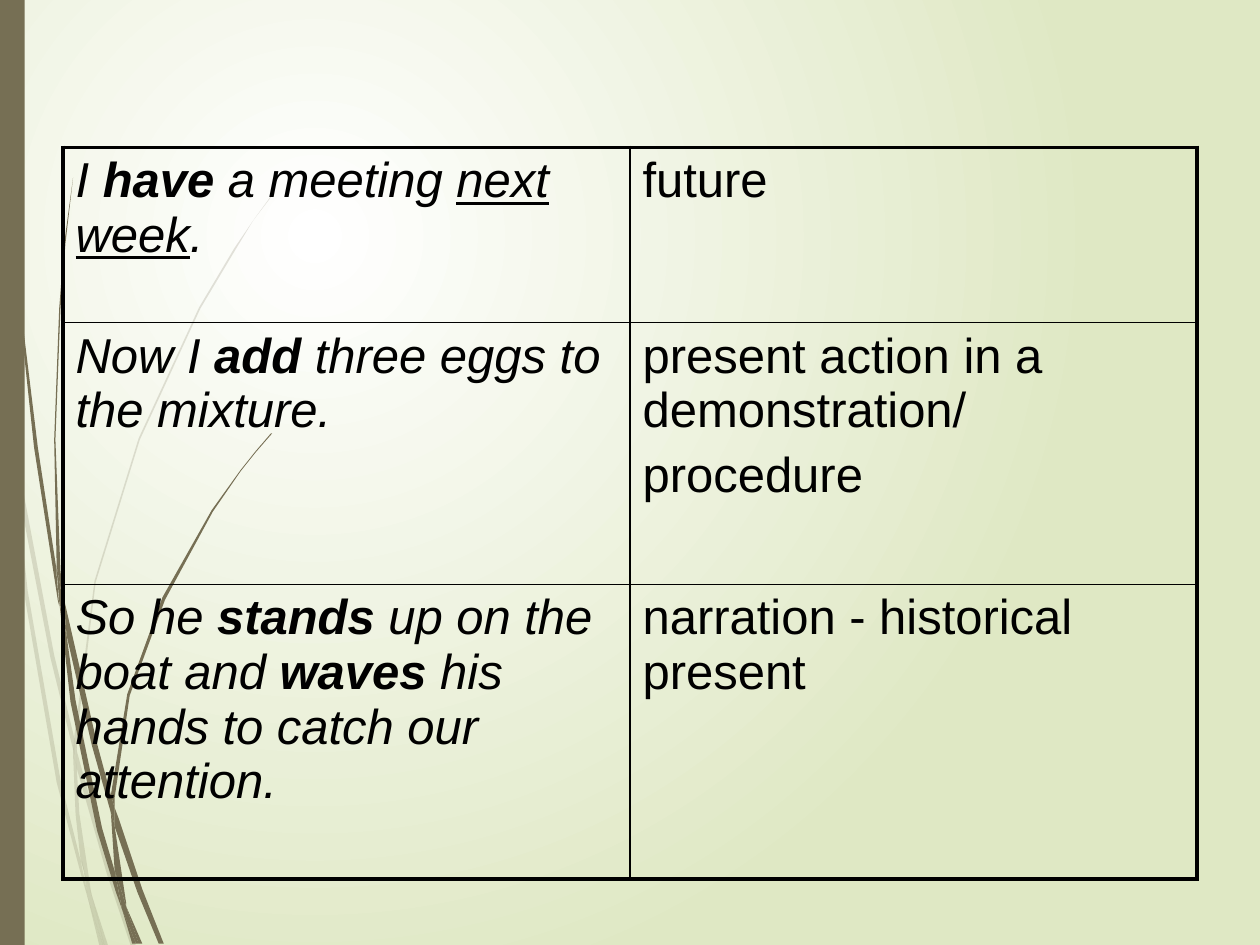
from dataclasses import dataclass

from lxml.etree import SubElement
from pptx import Presentation
from pptx.dml.color import RGBColor as RGB
from pptx.enum.shapes import MSO_SHAPE as SHAPE
from pptx.oxml.ns import qn
from pptx.util import Cm, Pt


@dataclass(frozen=True)
class Theme:
    font: str = "Arial"
    size: float = 28
    para_gap: float = 5.6
    text: str = "000000"
    accent: str = "766F54"
    center: str = "FFFFFF"
    edge: str = "DFE8C4"
    outer: float = 2.25
    inner: float = 1
    faint: int = 20
    unit: float = 0.0254


PALE_BLADES = [
    [(8, 350), (6, 322), (0, 282), (0, 299), (7, 344)],
    [(40, 522), (59, 599), (59, 586), (43, 520), (10, 345), (12, 376)],
    [(64, 607), (61, 596), (61, 610), (85, 694), (104, 751), (108, 751), (88, 692)],
    [(83, 751), (86, 751), (73, 711)],
    [(64, 683), (48, 619), (22, 469), (12, 376), (8, 350), (19, 470), (45, 621),
     (64, 693), (70, 714), (69, 707)],
    [(58, 599), (60, 646), (64, 683), (67, 692), (73, 711), (72, 706), (63, 646),
     (61, 610), (61, 608)],
    [(61, 584), (76, 462), (111, 349), (159, 245), (187, 198), (201, 175), (217, 154),
     (217, 153), (201, 175), (186, 197), (158, 244), (110, 348), (75, 461), (59, 584),
     (59, 586), (61, 596)],
    [(70, 714), (79, 751), (82, 751)],
    [(61, 608), (61, 610), (61, 596), (59, 586), (58, 599)],
    [(67, 692), (65, 683), (69, 707), (70, 714), (82, 751), (83, 751), (73, 711)],
]

DARK_BLADES = [
    [(5, 110), (14, 233), (27, 355), (46, 477), (47, 481), (45, 457), (45, 453),
     (30, 355), (15, 232), (6, 109), (4, 48), (3, 0), (2, 0), (3, 48)],
    [(73, 592), (88, 645), (88, 633), (88, 631), (77, 590), (50, 472), (53, 505)],
    [(94, 649), (91, 641), (91, 656), (109, 708), (126, 749), (130, 749), (113, 706)],
    [(91, 691), (81, 657), (60, 556), (53, 505), (47, 477), (56, 557), (77, 659),
     (92, 708), (97, 722), (96, 717)],
    [(50, 472), (48, 453), (44, 349), (48, 245), (52, 193), (58, 141), (51, 193),
     (47, 245), (43, 349), (45, 449), (49, 472)],
    [(110, 749), (113, 749), (100, 719)],
    [(47, 477), (53, 505), (50, 472), (49, 472), (45, 449), (45, 453)],
    [(91, 633), (103, 552), (131, 476), (169, 406), (191, 374), (203, 359), (216, 344),
     (215, 344), (203, 358), (191, 373), (168, 405), (129, 474), (101, 551), (88, 631),
     (91, 641)],
    [(97, 722), (105, 749), (108, 749)],
    [(88, 645), (91, 691), (96, 706), (100, 719), (100, 716), (91, 656), (90, 651)],
    [(88, 645), (90, 651), (91, 656), (91, 641), (88, 631), (88, 633)],
    [(96, 706), (91, 691), (96, 717), (97, 722), (108, 749), (110, 749), (100, 719)],
]

ROWS = [
    ([[("I ", "i"), ("have", "ib"), (" a meeting ", "i"), ("next week", "iu"), (".", "i")]],
     [[("future", "")]]),
    ([[("Now I ", "i"), ("add", "ib"), (" three eggs to the mixture.", "i")]],
     [[("present action in a demonstration/", "")], [("procedure", "")]]),
    ([[("So he ", "i"), ("stands", "ib"), (" up on the boat and ", "i"), ("waves", "ib"),
       (" his hands to catch our attention.", "i")]],
     [[("narration - historical present", "")]]),
]


class Deck:
    def __init__(self, theme):
        self.theme = theme
        self.prs = Presentation()
        self.prs.slide_width, self.prs.slide_height = Cm(25.4), Cm(19.05)
        self.s = self.prs.slides.add_slide(self.prs.slide_layouts[6])

    def background(self):
        fill = self.s.background.fill
        fill.gradient()
        for stop, color, pos in zip(fill.gradient_stops,
                                    (self.theme.center, self.theme.edge), (0, 1)):
            stop.color.rgb = RGB.from_string(color)
            stop.position = pos
        grad = self.s._element.find(".//" + qn("a:gradFill"))
        grad.remove(grad.find(qn("a:lin")))
        radial = SubElement(grad, qn("a:path"), path="circle")
        SubElement(radial, qn("a:fillToRect"), l="50000", t="50000", r="100000", b="100000")

    def paint(self, sp, alpha=100):
        sp.shadow.inherit = False
        sp.fill.solid()
        sp.fill.fore_color.rgb = RGB.from_string(self.theme.accent)
        sp.line.fill.background()
        if alpha < 100:
            clr = sp._element.spPr.find(".//" + qn("a:srgbClr"))
            SubElement(clr, qn("a:alpha"), val=str(alpha * 1000))

    def grass(self, blades, alpha=100):
        group = self.s.shapes.add_group_shape()
        for start, *rest in blades:
            fb = group.shapes.build_freeform(*start, scale=Cm(self.theme.unit))
            fb.add_line_segments(rest, close=True)
            self.paint(fb.convert_to_shape(), alpha)

    def bar(self, x, y, w, h):
        self.paint(self.s.shapes.add_shape(SHAPE.RECTANGLE, Cm(x), Cm(y), Cm(w), Cm(h)))

    def add_text(self, tf, paragraphs):
        for i, runs in enumerate(paragraphs):
            p = tf.add_paragraph() if i else tf.paragraphs[0]
            if i:
                p.space_before = Pt(self.theme.para_gap)
            for text, style in runs:
                r = p.add_run()
                r.text = text
                r.font.name = self.theme.font
                r.font.size = Pt(self.theme.size)
                r.font.color.rgb = RGB.from_string(self.theme.text)
                r.font.bold = "b" in style
                r.font.italic = "i" in style
                r.font.underline = "u" in style

    def borders(self, cell, edges):
        tc_pr = cell._tc.get_or_add_tcPr()
        for side, is_outer in edges.items():
            width = self.theme.outer if is_outer else self.theme.inner
            ln = SubElement(tc_pr, qn("a:ln" + side), w=str(int(Pt(width))))
            SubElement(SubElement(ln, qn("a:solidFill")), qn("a:srgbClr"), val=self.theme.text)

    def table(self, x, y, widths, heights, rows):
        sp = self.s.shapes.add_table(len(heights), len(widths), Cm(x), Cm(y),
                                     Cm(sum(widths)), Cm(sum(heights)))
        tbl = sp.table
        tbl.first_row = tbl.horz_banding = False
        for col, w in zip(tbl.columns, widths):
            col.width = Cm(w)
        for row, h in zip(tbl.rows, heights):
            row.height = Cm(h)
        for i, row in enumerate(rows):
            for j, paragraphs in enumerate(row):
                cell = tbl.cell(i, j)
                self.borders(cell, {"L": j == 0, "R": j == len(widths) - 1,
                                    "T": i == 0, "B": i == len(heights) - 1})
                cell.fill.background()
                self.add_text(cell.text_frame, paragraphs)


def main():
    theme = Theme()
    deck = Deck(theme)
    deck.background()
    deck.grass(PALE_BLADES, theme.faint)
    deck.grass(DARK_BLADES)
    deck.bar(0, 0, 0.5, 19.05)
    deck.table(1.27, 2.97, [11.43, 11.43], [3.53, 5.28, 5.94], ROWS)
    deck.prs.save("out.pptx")


if __name__ == "__main__":
    main()
